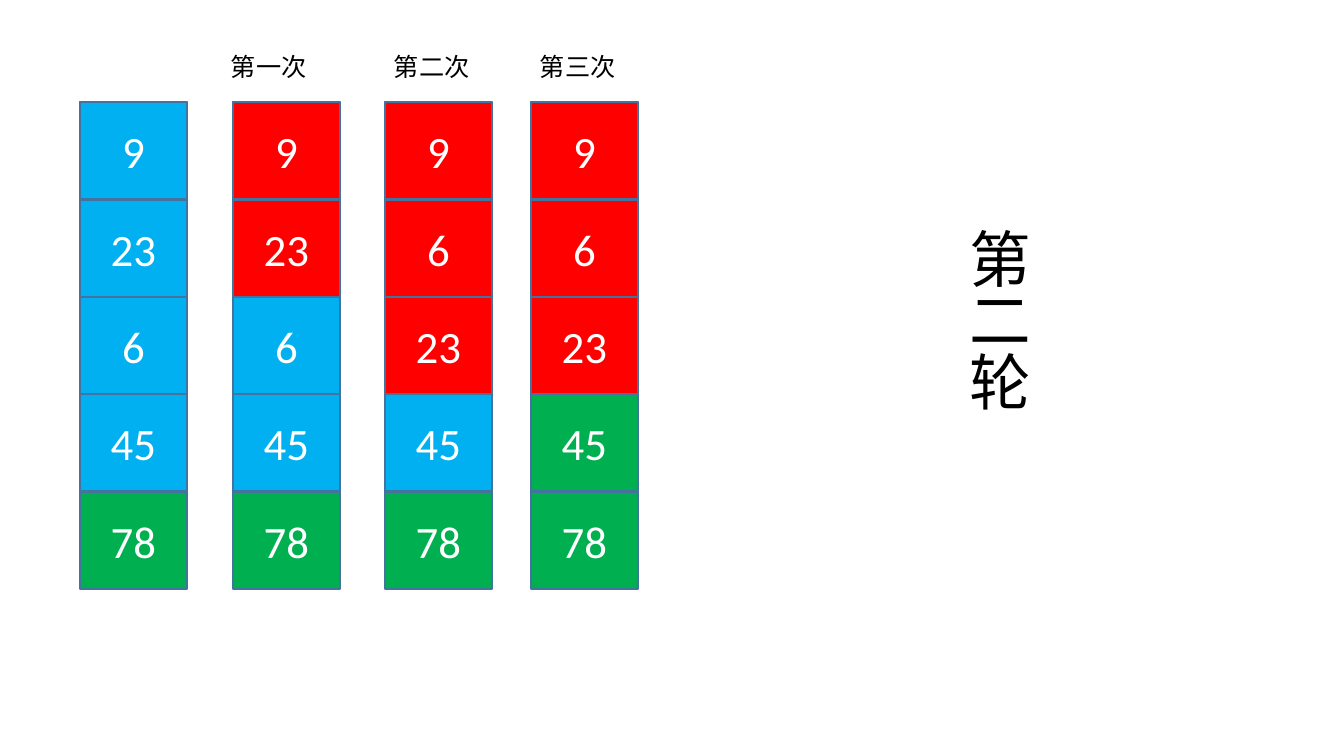
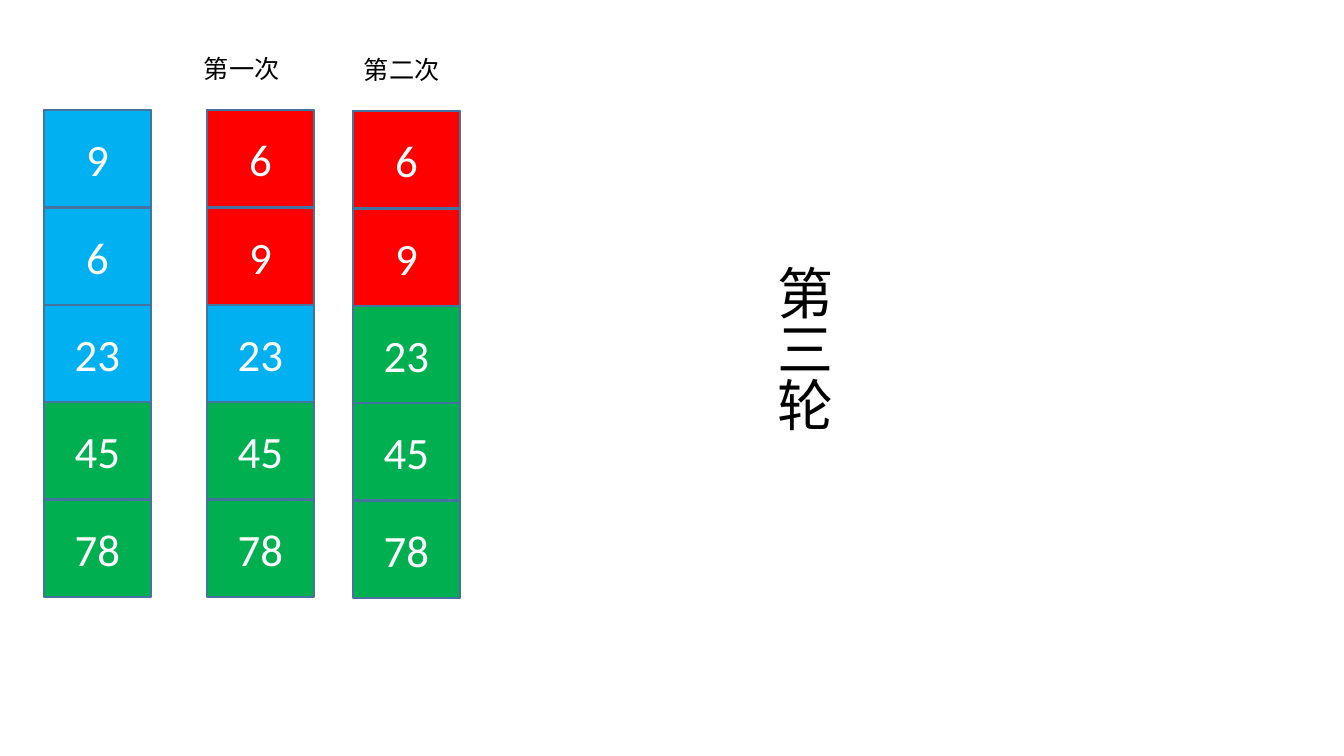
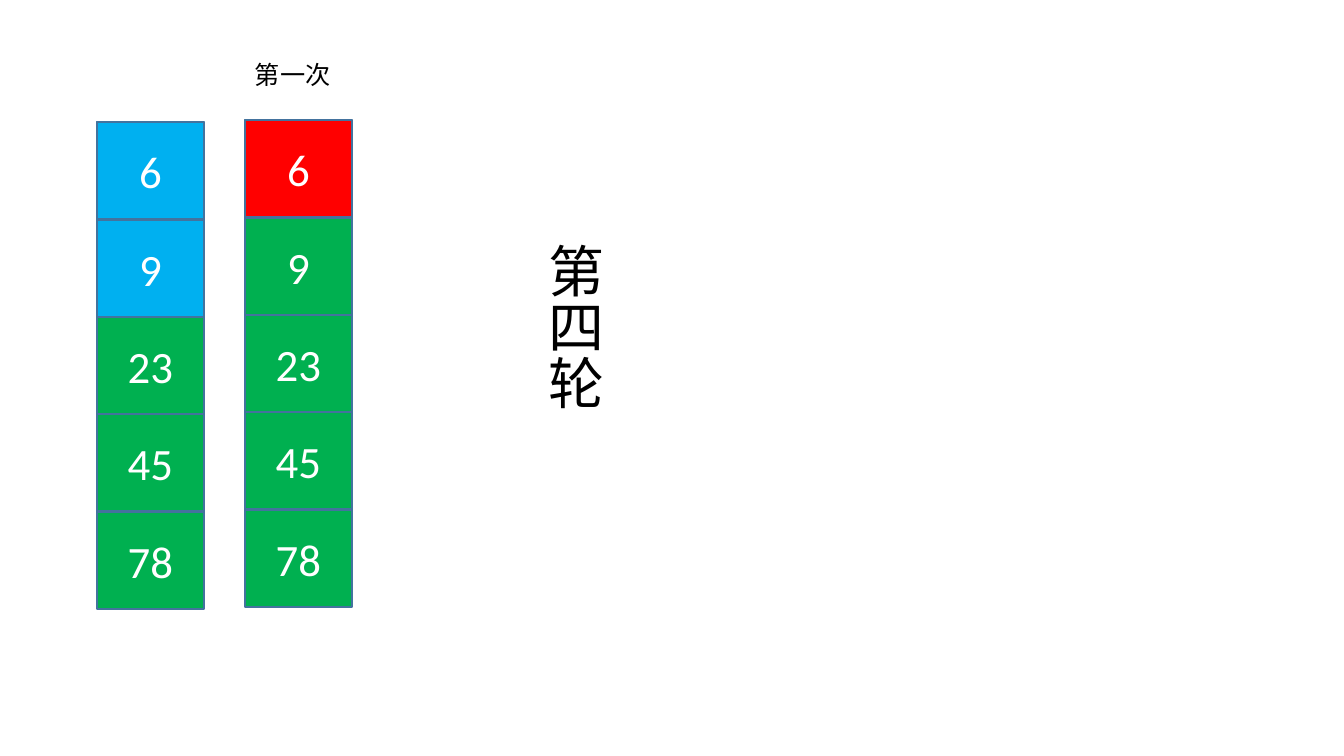
from dataclasses import dataclass

from pptx import Presentation
from pptx.dml.color import RGBColor
from pptx.enum.shapes import MSO_SHAPE
from pptx.enum.text import MSO_ANCHOR, MSO_AUTO_SIZE, PP_ALIGN
from pptx.util import Emu, Pt


@dataclass(frozen=True)
class Theme:
    """Colours, type sizes and font shared by all slides."""
    pending: str = "00B0F0"
    compared: str = "FF0000"
    settled: str = "00B050"
    outline: str = "43739E"
    light: str = "FFFFFF"
    dark: str = "000000"
    font: str = "Calibri"
    number_size: int = 32
    label_size: int = 18
    outline_width: int = 1


EMU_PER_PIXEL = 914400 / 100.8
SLIDE_WIDTH, SLIDE_HEIGHT = 1344, 756
CELL_WIDTH, CELL_HEIGHT = 107, 97
COLUMN_HEIGHT = 485
LABEL_HEIGHT = 40


def pixels(*lengths):
    """Turn pixel lengths into EMU."""
    return [Emu(round(length * EMU_PER_PIXEL)) for length in lengths]


class SlideBuilder:
    """Draws sorting columns and captions on the current slide."""

    def __init__(self, deck, theme):
        """Keep the deck and its style."""
        self.deck = deck
        self.theme = theme
        self.page = None
        self.state_colours = {"P": theme.pending, "C": theme.compared, "S": theme.settled}

    def new_page(self):
        """Start a blank slide."""
        self.page = self.deck.slides.add_slide(self.deck.slide_layouts[6])

    def style_text(self, box, text, size, colour):
        """Write one formatted paragraph and return it."""
        para = box.text_frame.paragraphs[0]
        para.text = text
        for span in para.runs:
            span.font.name = self.theme.font
            span.font.size = Pt(size)
            span.font.color.rgb = RGBColor.from_string(colour)
        return para

    def block(self, left, top, height, colour):
        """Draw one outlined rectangle of column width."""
        box = self.page.shapes.add_shape(
            MSO_SHAPE.RECTANGLE, *pixels(left, top, CELL_WIDTH, height))
        box.shadow.inherit = False
        box.fill.solid()
        box.fill.fore_color.rgb = RGBColor.from_string(colour)
        box.line.color.rgb = RGBColor.from_string(self.theme.outline)
        box.line.width = Pt(self.theme.outline_width)
        return box

    def column(self, left, top, numbers, states):
        """Stack five numbered cells on a column background."""
        self.block(left, top, COLUMN_HEIGHT, self.theme.pending)
        for row, (number, state) in enumerate(zip(numbers, states)):
            cell_top = top + round(row * (COLUMN_HEIGHT + 4 - CELL_HEIGHT) / 4 - row / 2)
            cell = self.block(left, cell_top, CELL_HEIGHT, self.state_colours[state])
            cell.text_frame.vertical_anchor = MSO_ANCHOR.MIDDLE
            para = self.style_text(cell, str(number), self.theme.number_size, self.theme.light)
            para.alignment = PP_ALIGN.CENTER

    def caption(self, text, left, top, width, height, size):
        """Add a wrapping text box that fits its text."""
        box = self.page.shapes.add_textbox(*pixels(left, top, width, height))
        box.text_frame.word_wrap = True
        box.text_frame.auto_size = MSO_AUTO_SIZE.SHAPE_TO_FIT_TEXT
        self.style_text(box, text, size, self.theme.dark)
        return box

    def label(self, text, left, top, width):
        """Name the step above a column."""
        self.caption(text, left, top, width, LABEL_HEIGHT, self.theme.label_size)

    def round_title(self, text, left, top, width, height, size):
        """Write the round name from top to bottom."""
        box = self.caption(text, left, top, width, height, size)
        box.element.txBody.bodyPr.set("vert", "eaVert")


ROUNDS = [
    {
        "title": ("第二轮", 945, 218, 95, 547, 44),
        "columns": [
            (80, 102, (9, 23, 6, 45, 78), "PPPPS"),
            (233, 102, (9, 23, 6, 45, 78), "CCPPS"),
            (385, 102, (9, 6, 23, 45, 78), "CCCPS"),
            (531, 102, (9, 6, 23, 45, 78), "CCCSS"),
        ],
        "labels": [
            ("第一次", 221, 46, 145),
            ("第二次", 384, 46, 147),
            ("第三次", 530, 46, 130),
        ],
    },
    {
        "title": ("第三轮", 753, 255, 89, 555, 40),
        "columns": [
            (44, 110, (9, 6, 23, 45, 78), "PPPSS"),
            (207, 110, (6, 9, 23, 45, 78), "CCPSS"),
            (353, 111, (6, 9, 23, 45, 78), "CCSSS"),
        ],
        "labels": [("第一次", 194, 48, 145), ("第二次", 354, 49, 161)],
    },
    {
        "title": ("第四轮", 524, 233, 89, 555, 40),
        "columns": [
            (97, 122, (6, 9, 23, 45, 78), "PPSSS"),
            (245, 120, (6, 9, 23, 45, 78), "CSSSS"),
        ],
        "labels": [("第一次", 245, 54, 153)],
    },
]


def main():
    """Build the sorting rounds and save the deck."""
    deck = Presentation()
    deck.slide_width, deck.slide_height = pixels(SLIDE_WIDTH, SLIDE_HEIGHT)
    builder = SlideBuilder(deck, Theme())
    for sorting_round in ROUNDS:
        builder.new_page()
        for column in sorting_round["columns"]:
            builder.column(*column)
        builder.round_title(*sorting_round["title"])
        for label in sorting_round["labels"]:
            builder.label(*label)
    deck.save("out.pptx")


main()
